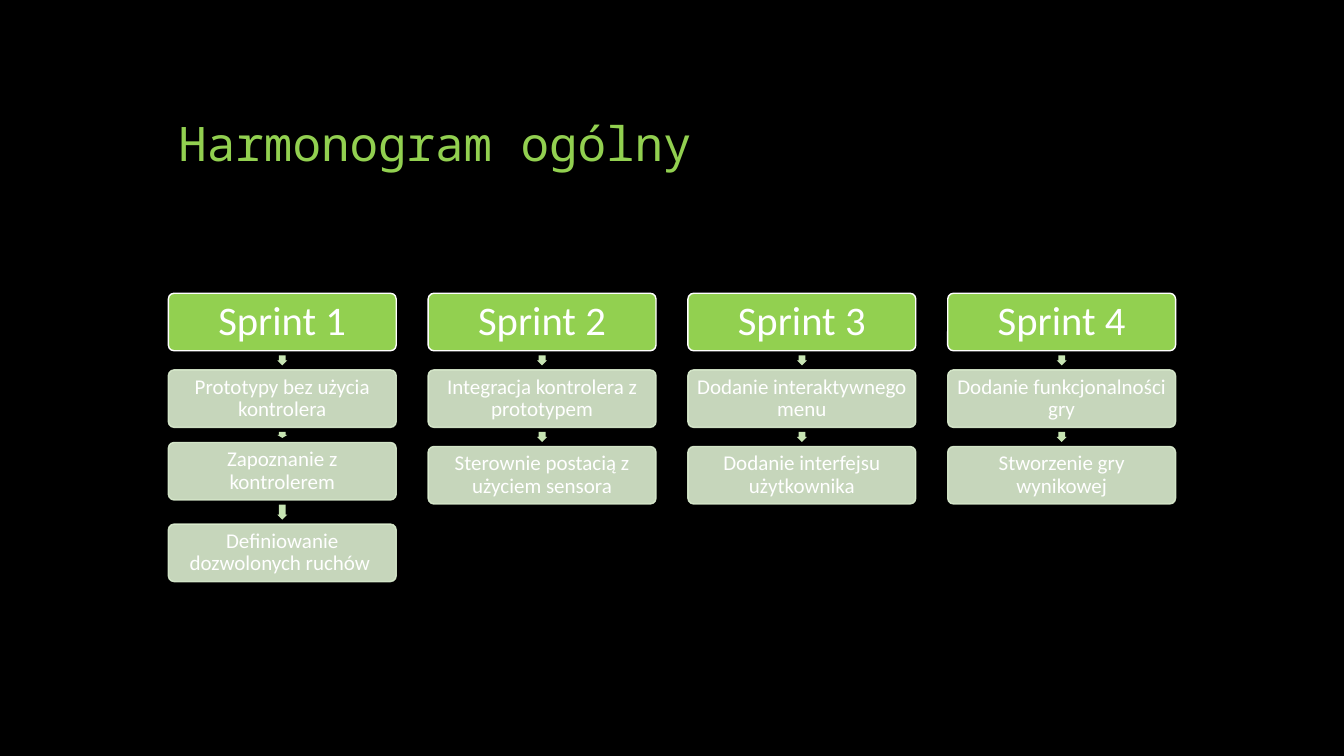
from lxml.etree import SubElement
from pptx import Presentation
from pptx.dml.color import RGBColor
from pptx.enum.shapes import MSO_SHAPE as Shape
from pptx.enum.text import MSO_ANCHOR as Anchor, MSO_AUTO_SIZE as AutoSize, PP_ALIGN as Align
from pptx.oxml.ns import qn
from pptx.util import Inches, Pt

BLACK = RGBColor(0x00, 0x00, 0x00)
WHITE = RGBColor(0xFF, 0xFF, 0xFF)
GREEN = RGBColor(0x92, 0xD0, 0x50)
PALE_GREEN = RGBColor(0xDC, 0xEE, 0xD0)
ARROW_GREEN = RGBColor(0xC7, 0xE4, 0xB3)

CARD_HEIGHT = 0.57
ARROW_THICKNESS = 0.1
ARROW_CLEARANCE = 0.09
DEFAULT_TOPS = (3.67, 4.43)
SPRINTS = [
    ("Sprint 1", ("Prototypy bez użycia kontrolera", "Zapoznanie z kontrolerem",
                  "Definiowanie dozwolonych ruchów "), (3.67, 4.39, 5.2)),
    ("Sprint 2", ("Integracja kontrolera z prototypem",
                  "Sterownie postacią z użyciem sensora"), DEFAULT_TOPS),
    ("Sprint 3", ("Dodanie interaktywnego menu",
                  "Dodanie interfejsu użytkownika"), DEFAULT_TOPS),
    ("Sprint 4", ("Dodanie funkcjonalności gry",
                  "Stworzenie gry wynikowej"), DEFAULT_TOPS),
]


def write_text(holder, text, size, color, font="Calibri", align=Align.CENTER,
               anchor=Anchor.MIDDLE, inset=None):
    frame = holder.text_frame
    frame.word_wrap = True
    frame.auto_size = AutoSize.NONE
    frame.vertical_anchor = anchor
    if inset is not None:
        frame.margin_left = frame.margin_right = Inches(inset)
        frame.margin_top = frame.margin_bottom = Inches(inset)
    paragraph = frame.paragraphs[0]
    paragraph.alignment = align
    paragraph.line_spacing = 0.9
    run = paragraph.add_run()
    run.text = text
    run.font.size = Pt(size)
    run.font.name = font
    run.font.color.rgb = color


def set_opacity(fill_owner, percent):
    for color in fill_owner.iter(qn("a:srgbClr")):
        SubElement(color, qn("a:alpha"), val=str(percent * 1000))


def add_card(slide, left, top, width, text, size, fill, line, inset, opacity=100):
    card = slide.shapes.add_shape(Shape.ROUNDED_RECTANGLE, Inches(left), Inches(top),
                                  Inches(width), Inches(CARD_HEIGHT))
    card.adjustments[0] = 0.1
    card.shadow.inherit = False
    card.fill.solid()
    card.fill.fore_color.rgb = fill
    card.line.color.rgb = line
    card.line.width = Pt(1)
    if opacity < 100:
        set_opacity(card._element.spPr, opacity)
    write_text(card, text, size, WHITE, inset=inset)


def add_down_arrow(slide, center, gap_top, gap_bottom):
    length = gap_bottom - gap_top - ARROW_CLEARANCE
    middle = (gap_top + gap_bottom) / 2
    arrow = slide.shapes.add_shape(
        Shape.RIGHT_ARROW, Inches(center - length / 2), Inches(middle - ARROW_THICKNESS / 2),
        Inches(length), Inches(ARROW_THICKNESS))
    arrow.rotation = 90
    arrow.adjustments[0] = 0.67
    arrow.adjustments[1] = 0.5
    arrow.shadow.inherit = False
    arrow.fill.solid()
    arrow.fill.fore_color.rgb = ARROW_GREEN
    arrow.line.fill.background()


def add_sprint(slide, left, top, width, heading, tasks, task_tops):
    add_card(slide, left, top, width, heading, 29, GREEN, WHITE, inset=0.04)
    previous_top = top
    for task, task_top in zip(tasks, task_tops):
        add_down_arrow(slide, left + width / 2, previous_top + CARD_HEIGHT, task_top)
        add_card(slide, left, task_top, width, task, 15, PALE_GREEN, PALE_GREEN,
                 inset=0.02, opacity=90)
        previous_top = task_top


def add_schedule(slide, left, top, width, column_width=2.26):
    pitch = (width - column_width) / (len(SPRINTS) - 1)
    for index, (heading, tasks, task_tops) in enumerate(SPRINTS):
        add_sprint(slide, left + index * pitch, top, column_width, heading, tasks, task_tops)


def add_title(slide, left, top, width, height):
    title = slide.shapes.title
    title.left, title.top = Inches(left), Inches(top)
    title.width, title.height = Inches(width), Inches(height)
    write_text(title, "Harmonogram ogólny", 34, GREEN, font="Noto Sans Mono",
               align=Align.LEFT, anchor=Anchor.BOTTOM)


def main():
    deck = Presentation()
    deck.slide_width, deck.slide_height = Inches(13.33), Inches(7.5)
    slide = deck.slides.add_slide(deck.slide_layouts[5])
    slide.background.fill.solid()
    slide.background.fill.fore_color.rgb = BLACK
    add_title(slide, 1.67, 0.5, 10, 1.25)
    add_schedule(slide, 1.67, 2.91, 9.99)
    deck.save("out.pptx")


if __name__ == "__main__":
    main()
